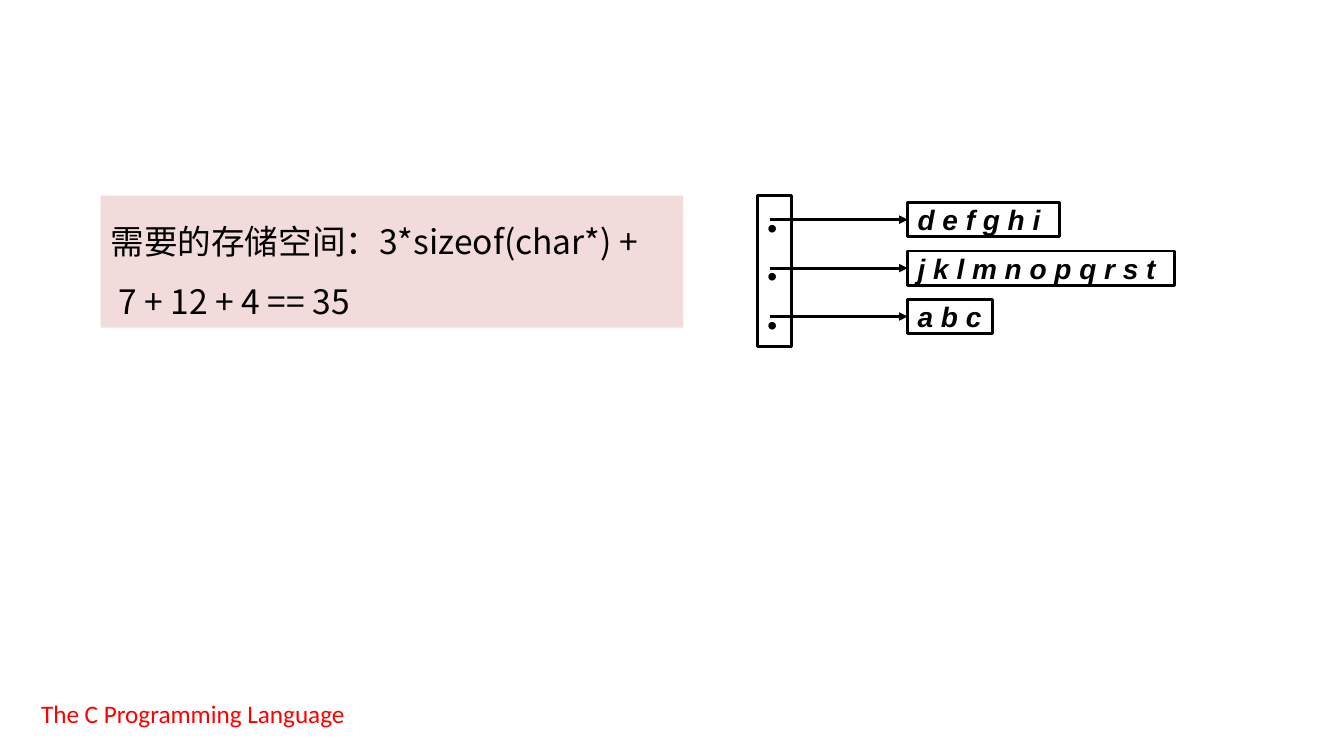
from dataclasses import dataclass
from lxml.etree import SubElement
from pptx import Presentation
from pptx.dml.color import RGBColor
from pptx.enum.shapes import MSO_CONNECTOR as Conn, MSO_SHAPE as Shp
from pptx.enum.text import MSO_ANCHOR as Anchor, PP_ALIGN as Align
from pptx.oxml.ns import qn
from pptx.util import Inches, Pt

BLACK = RGBColor(0x00, 0x00, 0x00)
RED = RGBColor(0xFF, 0x00, 0x00)
PINK = RGBColor(0xF2, 0xDC, 0xDB)
WIDTH, HEIGHT = Inches(13.34), Inches(7.5)
STRING_X, STRING_Y, STRING_H, STRING_STEP = 67.54, 26.8, 4.53, 6.4
POINTER_X = 57.27


@dataclass(frozen=True)
class StringBox:
    text: str
    width: float


STRINGS = [
    StringBox("d e f g h i", 11.32),
    StringBox("j k l m n o p q r s t", 19.87),
    StringBox("a b c", 6.3),
]


def across(percent: float) -> int:
    return round(WIDTH * percent / 100)


def down(percent: float) -> int:
    return round(HEIGHT * percent / 100)


def add_box(slide, x: float, y: float, w: float, h: float, fill=None, line=None):
    sp = slide.shapes.add_shape(Shp.RECTANGLE, across(x), down(y), across(w), down(h))
    sp.shadow.inherit = False
    if fill is None:
        sp.fill.background()
    else:
        sp.fill.solid()
        sp.fill.fore_color.rgb = fill
    if line is None:
        sp.line.fill.background()
    else:
        sp.line.color.rgb = line
        sp.line.width = Pt(2)
    return sp


def write(sp, lines: list[str], *, size=20, font="Arial", color=BLACK, bold=False,
          italic=False, align=Align.LEFT, anchor=Anchor.TOP, spacing=None,
          insets=(7.2, 3.6, 7.2, 3.6), wrap=True) -> None:
    tf = sp.text_frame
    tf.word_wrap = wrap
    tf.vertical_anchor = anchor
    tf.margin_left, tf.margin_top, tf.margin_right, tf.margin_bottom = map(Pt, insets)
    for i, line in enumerate(lines):
        p = tf.paragraphs[0] if i == 0 else tf.add_paragraph()
        p.alignment = align
        p.line_spacing = spacing
        r = p.add_run()
        r.text = line
        r.font.size, r.font.name = Pt(size), font
        r.font.bold, r.font.italic = bold, italic
        r.font.color.rgb = color
        SubElement(r.font._element, qn("a:ea")).set("typeface", font)


def add_arrow(slide, target) -> None:
    y = target.top + target.height // 2
    cxn = slide.shapes.add_connector(Conn.STRAIGHT, across(POINTER_X), y, target.left, y)
    cxn.end_connect(target, 1)
    cxn.line.color.rgb = BLACK
    cxn.line.width = Pt(2)
    SubElement(cxn.line._get_or_add_ln(), qn("a:tailEnd")).set("type", "triangle")
    SubElement(cxn._element.spPr, qn("a:effectLst"))


def main() -> None:
    prs = Presentation()
    prs.slide_width, prs.slide_height = WIDTH, HEIGHT
    s = prs.slides.add_slide(prs.slide_layouts[6])

    footer = s.shapes.add_textbox(across(2.32), down(91.73), across(40.03), down(5.33))
    write(footer, ["The C Programming Language"], size=18, font="Calibri", color=RED)

    pointers = add_box(s, 56.37, 25.87, 2.55, 20, line=BLACK)
    write(pointers, ["•"] * len(STRINGS), align=Align.CENTER,
          spacing=Pt(down(STRING_STEP) / Pt(1)), insets=(0, 0, 3.6, 0))

    for i, string in enumerate(STRINGS):
        sp = add_box(s, STRING_X, STRING_Y + i * STRING_STEP, string.width, STRING_H,
                     line=BLACK)
        write(sp, [string.text], bold=True, italic=True, anchor=Anchor.MIDDLE,
              insets=(7.2, 0, 7.2, 0), wrap=False)
        add_arrow(s, sp)

    storage = add_box(s, 7.5, 25.87, 43.33, 17.47, fill=PINK)
    write(storage, ["需要的存储空间：3*sizeof(char*) +", " 7 + 12 + 4 == 35"], size=24,
          font="Noto Sans CJK SC", spacing=1.5)

    prs.save("out.pptx")


if __name__ == "__main__":
    main()
